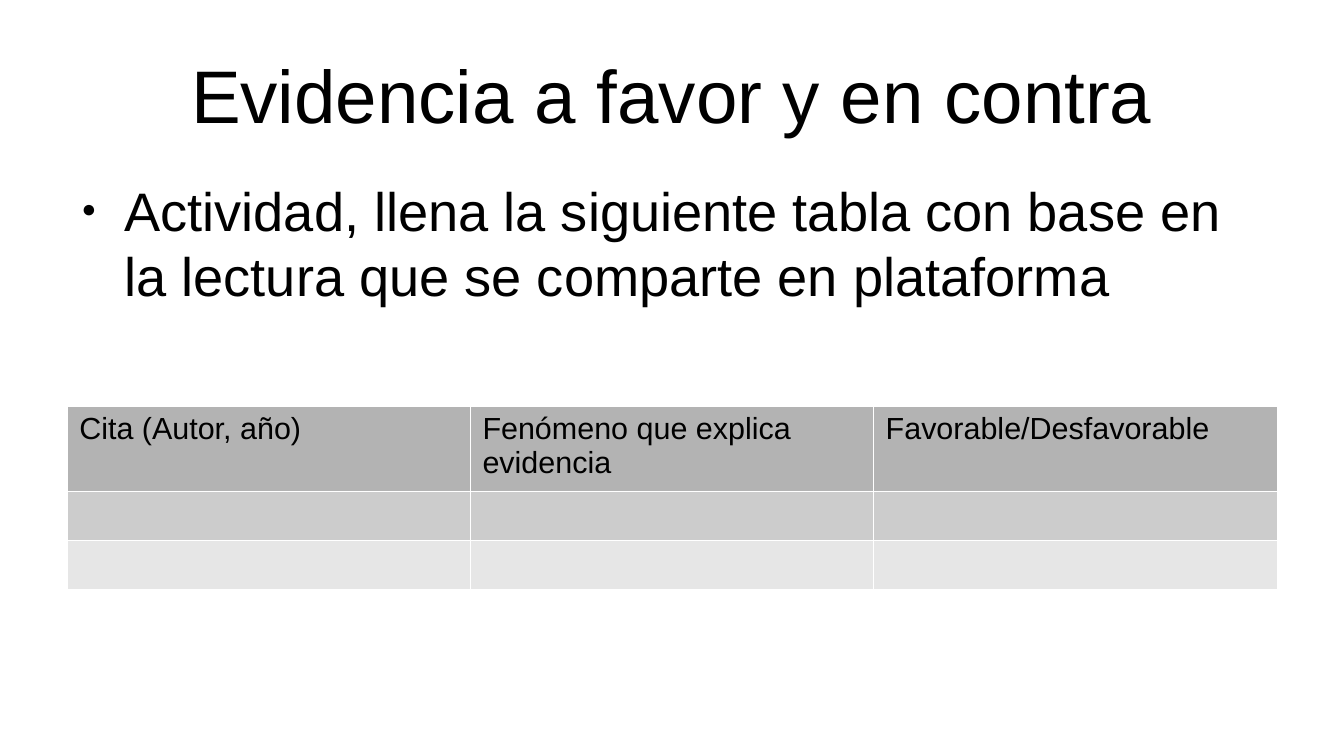
from lxml import etree
from pptx import Presentation
from pptx.dml.color import RGBColor
from pptx.enum.text import MSO_ANCHOR, PP_ALIGN
from pptx.oxml.ns import qn
from pptx.util import Inches, Pt

TITLE = "Evidencia a favor y en contra"
ACTIVITY = "Actividad, llena la siguiente tabla con base en la lectura que se comparte en plataforma"
HEADERS = ["Cita (Autor, año)", "Fenómeno que explica evidencia", "Favorable/Desfavorable"]
COLORS = {"text": "000000", "border": "FFFFFF"}
ROWS = [(0.66, "B3B3B3"), (0.38, "CCCCCC"), (0.38, "E6E6E6")]  # height, fill
FONT = "Arial"
LEFT, WIDTH = 0.55, 9.92
BORDER_WIDTH = Pt(0.06)


def style_runs(paragraph, size):
    for run in paragraph.runs:
        run.font.name = FONT
        run.font.size = Pt(size)
        run.font.color.rgb = RGBColor.from_string(COLORS["text"])


def add_text(slide, text, top, height, size):
    """Add a text box without insets and return its text frame."""
    box = slide.shapes.add_textbox(Inches(LEFT), Inches(top), Inches(WIDTH), Inches(height))
    frame = box.text_frame
    frame.word_wrap = True
    frame.margin_left = frame.margin_top = frame.margin_right = frame.margin_bottom = 0
    frame.text = text
    style_runs(frame.paragraphs[0], size)
    return frame


def add_bullet(paragraph):
    paragraph.space_before = Pt(14.2)
    properties = paragraph._p.get_or_add_pPr()
    properties.set("marL", str(Inches(0.47)))
    properties.set("indent", str(Inches(-0.35)))
    color = etree.SubElement(properties, qn("a:buClr"))
    etree.SubElement(color, qn("a:srgbClr"), val=COLORS["text"])
    etree.SubElement(properties, qn("a:buSzPct"), val="45000")
    etree.SubElement(properties, qn("a:buFont"), typeface=FONT)
    etree.SubElement(properties, qn("a:buChar"), char="●")


def add_borders(cell):
    properties = cell._tc.get_or_add_tcPr()
    for index, side in enumerate(("a:lnL", "a:lnR", "a:lnT", "a:lnB")):
        line = etree.Element(qn(side), w=str(BORDER_WIDTH))
        fill = etree.SubElement(line, qn("a:solidFill"))
        etree.SubElement(fill, qn("a:srgbClr"), val=COLORS["border"])
        properties.insert(index, line)


def add_evidence_table(slide):
    height = sum(row_height for row_height, _ in ROWS)
    table = slide.shapes.add_table(
        len(ROWS), len(HEADERS), Inches(LEFT), Inches(3.33), Inches(WIDTH), Inches(height)
    ).table
    table.first_row = table.horz_banding = False
    for row, (row_height, fill) in zip(table.rows, ROWS):
        row.height = Inches(row_height)
        for cell in row.cells:
            cell.fill.solid()
            cell.fill.fore_color.rgb = RGBColor.from_string(fill)
            add_borders(cell)
    for cell, header in zip(table.rows[0].cells, HEADERS):
        cell.text_frame.text = header
        style_runs(cell.text_frame.paragraphs[0], 18)


def main():
    presentation = Presentation()
    presentation.slide_width, presentation.slide_height = Inches(11.02), Inches(6.2)
    slide = presentation.slides.add_slide(presentation.slide_layouts[6])

    title = add_text(slide, TITLE, 0.25, 1.04, 44)
    title.vertical_anchor = MSO_ANCHOR.MIDDLE
    title.paragraphs[0].alignment = PP_ALIGN.CENTER

    activity = add_text(slide, ACTIVITY, 1.45, 1.71, 32)
    add_bullet(activity.paragraphs[0])

    add_evidence_table(slide)
    presentation.save("out.pptx")


if __name__ == "__main__":
    main()
